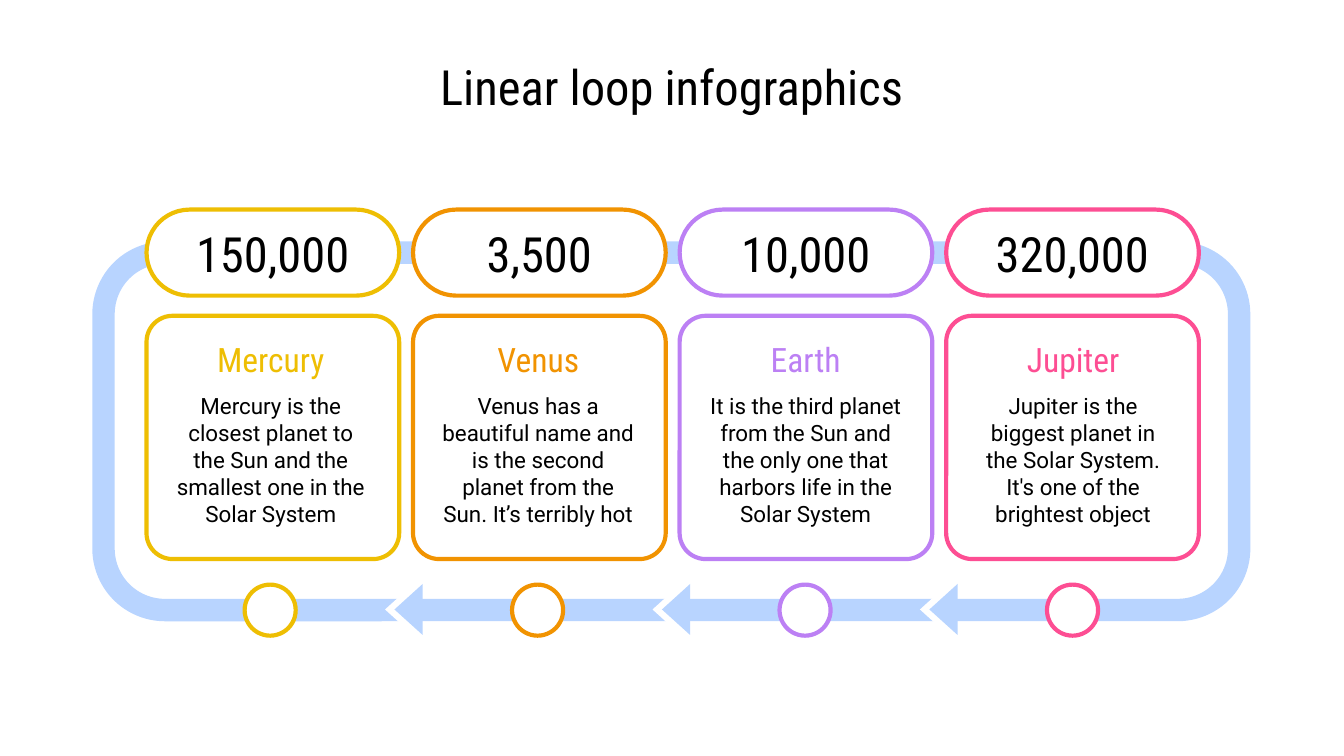
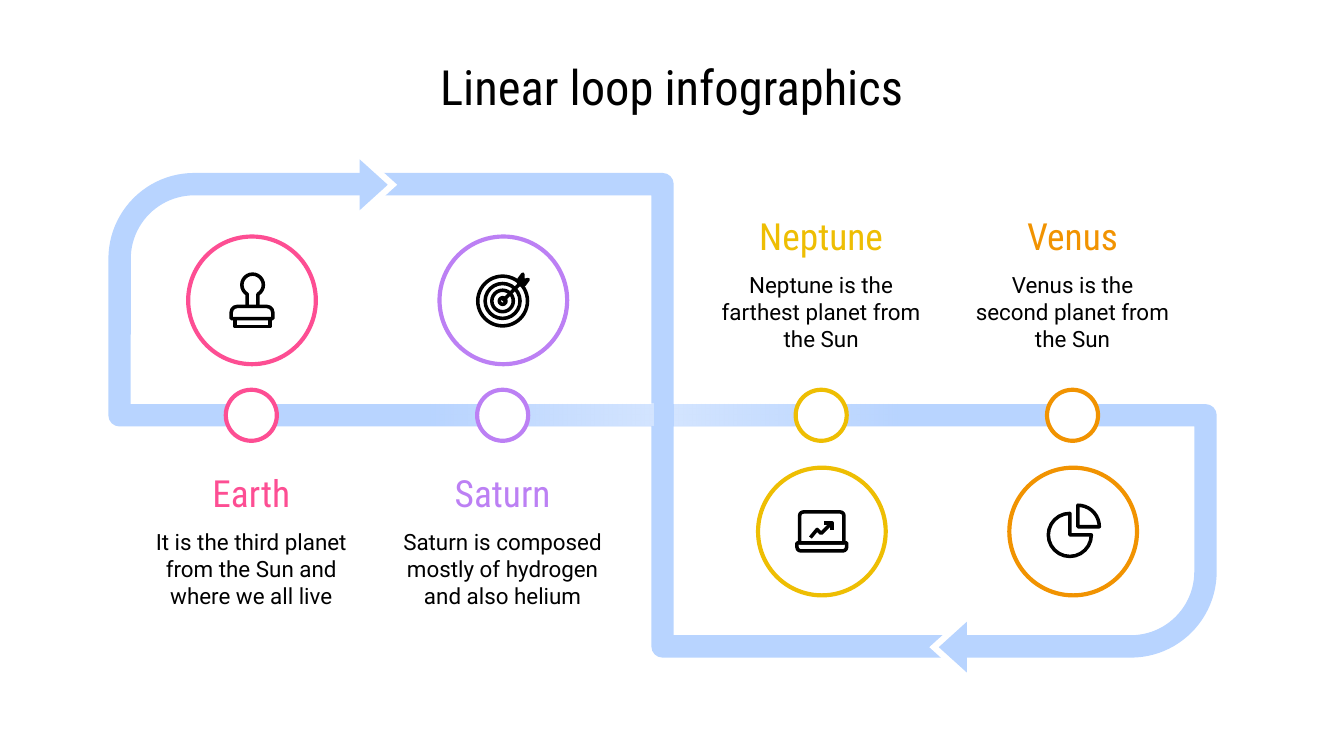
import math
from dataclasses import dataclass
from typing import Optional

from lxml import etree
from pptx import Presentation
from pptx import util as u
from pptx.dml.color import RGBColor
from pptx.enum import shapes, text
from pptx.oxml.ns import qn

COLORS = {
    "ink": "000000",
    "paper": "FFFFFF",
    "loop": "B8D4FF",
    "yellow": "EEBE03",
    "orange": "F19301",
    "purple": "BC80F4",
    "pink": "FD4E93",
}
HEADING, BODY = "Roboto Condensed", "Roboto"
KIND = shapes.MSO_SHAPE
LOOP_PT, OUTLINE_PT, ICON_PT = 12, 2.25, 1.9
DOT = 0.38
CAPTION_WIDTH = 1.68


@dataclass(frozen=True)
class Box:
    left: float
    top: float
    width: float
    height: float

    def emu(self) -> list:
        return [u.Inches(v) for v in (self.left, self.top, self.width, self.height)]


@dataclass(frozen=True)
class Planet:
    name: str
    fact: str
    color: str
    value: str = ""


@dataclass(frozen=True)
class Stop:
    planet: Planet
    left: float
    label_top: float
    medallion_top: float


LOOP_PLANETS = [
    Planet("Mercury", "Mercury is the closest planet to the Sun and the smallest one in the Solar System",
           "yellow", "150,000"),
    Planet("Venus", "Venus has a beautiful name and is the second planet from the Sun. It’s terribly hot",
           "orange", "3,500"),
    Planet("Earth", "It is the third planet from the Sun and the only one that harbors life in the Solar System",
           "purple", "10,000"),
    Planet("Jupiter", "Jupiter is the biggest planet in the Solar System. It's one of the brightest object",
           "pink", "320,000"),
]

STOPS = [
    Stop(Planet("Earth", "It is the third planet from the Sun and where we all live", "pink"),
         1.03, 3.48, 1.76),
    Stop(Planet("Saturn", "Saturn is composed mostly of hydrogen and also helium", "purple"),
         2.9, 3.48, 1.76),
    Stop(Planet("Neptune", "Neptune is the farthest planet from the Sun", "yellow"),
         5.27, 1.57, 3.48),
    Stop(Planet("Venus", "Venus is the second planet from the Sun", "orange"),
         7.14, 1.57, 3.48),
]


def rgb(name: str) -> RGBColor:
    return RGBColor.from_string(COLORS[name])


def paint(shape, fill: Optional[str], line: Optional[str], weight: float) -> None:
    shape.shadow.inherit = False
    if fill:
        shape.fill.solid()
        shape.fill.fore_color.rgb = rgb(fill)
    else:
        shape.fill.background()
    if line:
        shape.line.color.rgb = rgb(line)
        shape.line.width = u.Pt(weight)
    else:
        shape.line.fill.background()


def draw(slide, kind, box: Box, fill: Optional[str] = None, line: Optional[str] = None,
         weight: float = OUTLINE_PT, adjust: tuple = (), turn: float = 0):
    shape = slide.shapes.add_shape(kind, *box.emu())
    for index, value in enumerate(adjust):
        shape.adjustments[index] = value
    shape.rotation = turn
    paint(shape, fill, line, weight)
    return shape


def write(shape, words: str, size: float, font: str, color: str = "ink",
          anchor=text.MSO_ANCHOR.MIDDLE, bottom: float = 0.1) -> None:
    frame = shape.text_frame
    frame.word_wrap = True
    frame.auto_size = text.MSO_AUTO_SIZE.NONE
    frame.vertical_anchor = anchor
    frame.margin_left = frame.margin_right = frame.margin_top = u.Inches(0.1)
    frame.margin_bottom = u.Inches(bottom)
    paragraph = frame.paragraphs[0]
    paragraph.alignment = text.PP_ALIGN.CENTER
    run = paragraph.add_run()
    run.text = words
    run.font.size = u.Pt(size)
    run.font.name = font
    run.font.color.rgb = rgb(color)


def label(slide, box: Box, words: str, size: float, font: str, color: str = "ink",
          anchor=text.MSO_ANCHOR.MIDDLE) -> None:
    write(slide.shapes.add_textbox(*box.emu()), words, size, font, color, anchor)


def new_slide(deck):
    slide = deck.slides.add_slide(deck.slide_layouts[5])
    title = slide.shapes.title
    title.left, title.top, title.width, title.height = Box(0.45, 0.33, 9.1, 0.62).emu()
    write(title, "Linear loop infographics", 26, HEADING)
    return slide


def dot(slide, left: float, top: float, color: str) -> None:
    draw(slide, KIND.OVAL, Box(left, top, DOT, DOT), "paper", color)


def arrow(slide, left: float, top: float, turn: float) -> None:
    shift = 0.07 if turn == 270 else -0.07
    for offset, fill in ((0, "paper"), (shift, "loop")):
        draw(slide, KIND.ISOSCELES_TRIANGLE, Box(left + offset, top, DOT, 0.21), fill, turn=turn)


def fade(slide, left: float, angle: float) -> None:
    veil = draw(slide, KIND.RECTANGLE, Box(left, 3, 1.69, 0.17), "paper")
    veil.fill.gradient()
    veil.fill.gradient_angle = angle
    for stop in veil.fill.gradient_stops:
        stop.color.rgb = rgb("paper")
    for color, opacity in zip(veil._element.spPr.iter(qn("a:srgbClr")), (0, 39000)):
        etree.SubElement(color, qn("a:alpha")).set("val", str(opacity))


def trace(slide, points: list, closed: bool = False) -> None:
    corners = [(u.Inches(x), u.Inches(y)) for x, y in points]
    builder = slide.shapes.build_freeform(*corners[0])
    builder.add_line_segments(corners[1:], close=closed)
    paint(builder.convert_to_shape(), None, "ink", ICON_PT)


def stroke(slide, kind, box: Box, adjust: tuple = ()) -> None:
    draw(slide, kind, box, line="ink", weight=ICON_PT, adjust=adjust)


def stamp_icon(slide) -> None:
    knob = [(1.88 + 0.08 * math.cos(math.radians(a)), 2.12 + 0.08 * math.sin(math.radians(a)))
            for a in range(120, 421, 15)]
    trace(slide, [(1.84, 2.28), *knob, (1.92, 2.28)])
    stroke(slide, KIND.ROUND_2_SAME_RECTANGLE, Box(1.72, 2.28, 0.31, 0.09), (0.5, 0))
    stroke(slide, KIND.RECTANGLE, Box(1.75, 2.37, 0.26, 0.06))


def target_icon(slide) -> None:
    for size in (0.37, 0.26, 0.16, 0.05):
        stroke(slide, KIND.OVAL, Box(3.74 - size / 2, 2.24 - size / 2, size, size))
    trace(slide, [(3.74, 2.24), (3.86, 2.12), (3.86, 2.08), (3.89, 2.04),
                  (3.89, 2.09), (3.93, 2.08), (3.9, 2.12), (3.86, 2.12), (3.89, 2.09)])


def laptop_icon(slide) -> None:
    stroke(slide, KIND.ROUND_2_SAME_RECTANGLE, Box(5.95, 3.81, 0.33, 0.23), (0.12, 0))
    stroke(slide, KIND.ROUND_2_SAME_RECTANGLE, Box(5.93, 4.04, 0.37, 0.06), (0, 0.5))
    trace(slide, [(6.03, 4), (6.08, 3.94), (6.11, 3.97), (6.18, 3.9)])
    trace(slide, [(6.13, 3.89), (6.19, 3.89), (6.19, 3.94)])


def pie_icon(slide) -> None:
    quarter = 90 * 60000 / 100000
    stroke(slide, KIND.PIE, Box(7.8, 3.82, 0.32, 0.32), (0, 3 * quarter))
    wedge = [(8.02 + 0.16 * math.sin(math.radians(a)), 3.92 - 0.16 * math.cos(math.radians(a)))
             for a in range(0, 91, 10)]
    trace(slide, [(8.02, 3.92), *wedge], closed=True)


def build_loop(deck) -> None:
    slide = new_slide(deck)
    draw(slide, KIND.ROUNDED_RECTANGLE, Box(0.77, 1.88, 8.45, 2.66), line="loop",
         weight=LOOP_PT, adjust=(0.172,))
    card_step, step = 5.95 / 3, 1.99
    for index, planet in enumerate(LOOP_PLANETS):
        card_left = 1.09 + index * card_step
        pill = draw(slide, KIND.ROUNDED_RECTANGLE, Box(card_left, 1.56, 1.88, 0.64), "paper",
                    planet.color, adjust=(0.5,))
        write(pill, planet.value, 26, HEADING, bottom=0.1)
        draw(slide, KIND.ROUNDED_RECTANGLE, Box(card_left, 2.35, 1.88, 1.81), "paper",
             planet.color, adjust=(0.107,))
        left = 1.19 + index * step
        label(slide, Box(left, 2.49, 1.65, 0.37), planet.name, 18, HEADING, planet.color)
        label(slide, Box(left, 2.82, 1.65, 1.21), planet.fact, 12, BODY,
              anchor=text.MSO_ANCHOR.TOP)
        dot(slide, 1.82 + index * step, 4.35, planet.color)
    for index in range(len(LOOP_PLANETS) - 1):
        arrow(slide, 2.78 + index * step, 4.43, 270)


def build_figure_eight(deck) -> None:
    slide = new_slide(deck)
    for left, top, turn in ((0.89, 1.37, 0), (4.93, 3.09, 180)):
        half = draw(slide, KIND.ROUND_1_RECTANGLE, Box(left, top, 4.04, 1.72), line="loop",
                    weight=LOOP_PT, adjust=(0.323,), turn=turn)
        half._element.spPr.find(qn("a:xfrm")).set("flipH", "1")
    fade(slide, 5.02, 180)
    fade(slide, 3.17, 0)
    arrow(slide, 2.66, 1.27, 90)
    arrow(slide, 6.83, 4.71, 270)
    for stop in STOPS:
        planet = stop.planet
        draw(slide, KIND.OVAL, Box(stop.left + 0.37, stop.medallion_top, 0.95, 0.95), "paper",
             planet.color)
        label(slide, Box(stop.left, stop.label_top, CAPTION_WIDTH, 0.37), planet.name, 20,
              HEADING, planet.color)
        label(slide, Box(stop.left, stop.label_top + 0.37, CAPTION_WIDTH, 0.76), planet.fact,
              12, BODY)
        dot(slide, stop.left + 0.65, 2.9, planet.color)
    for icon in (stamp_icon, target_icon, laptop_icon, pie_icon):
        icon(slide)


def main() -> None:
    deck = Presentation()
    deck.slide_width = u.Inches(10)
    deck.slide_height = deck.slide_width * 9 // 16
    build_loop(deck)
    build_figure_eight(deck)
    deck.save("out.pptx")


if __name__ == "__main__":
    main()
